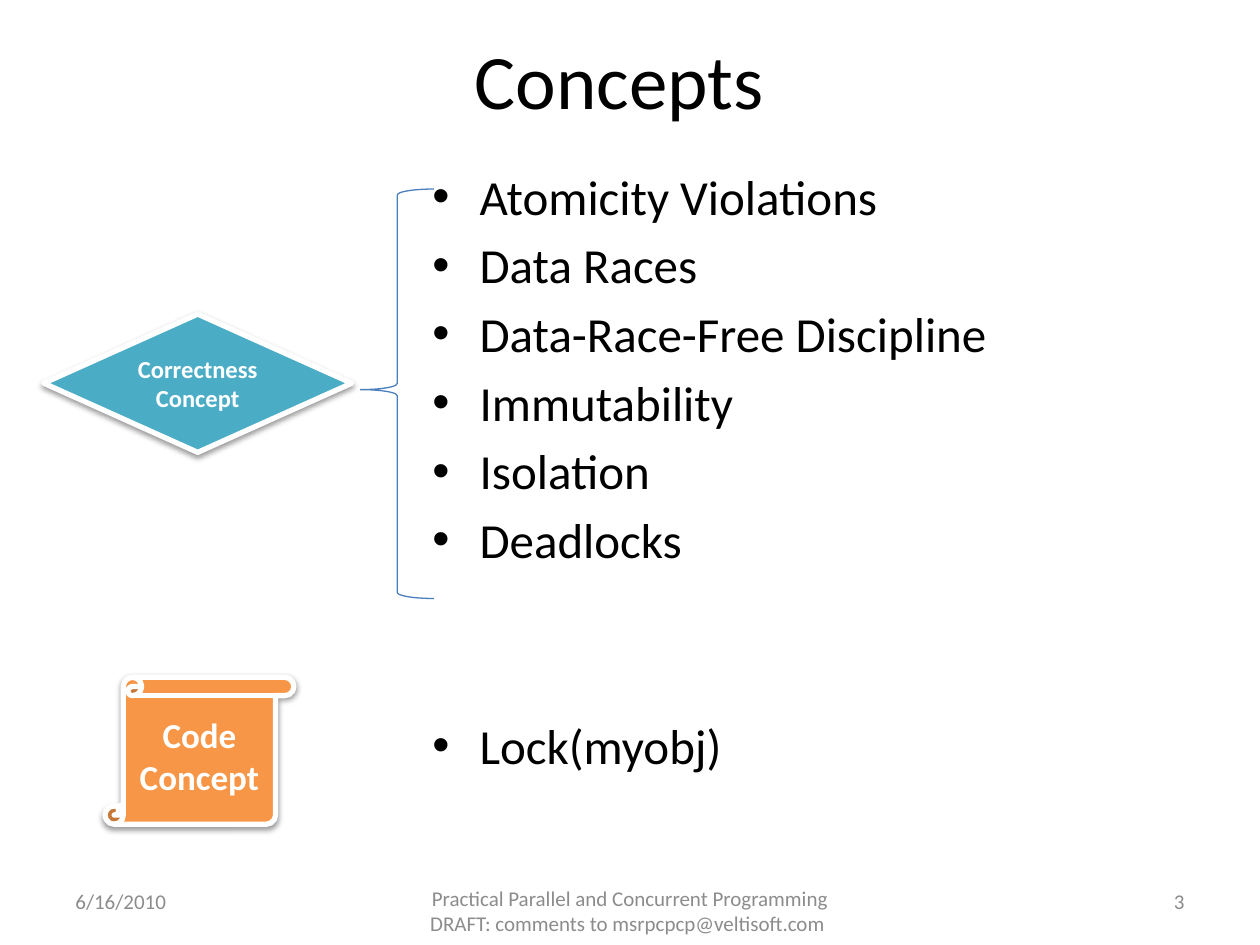
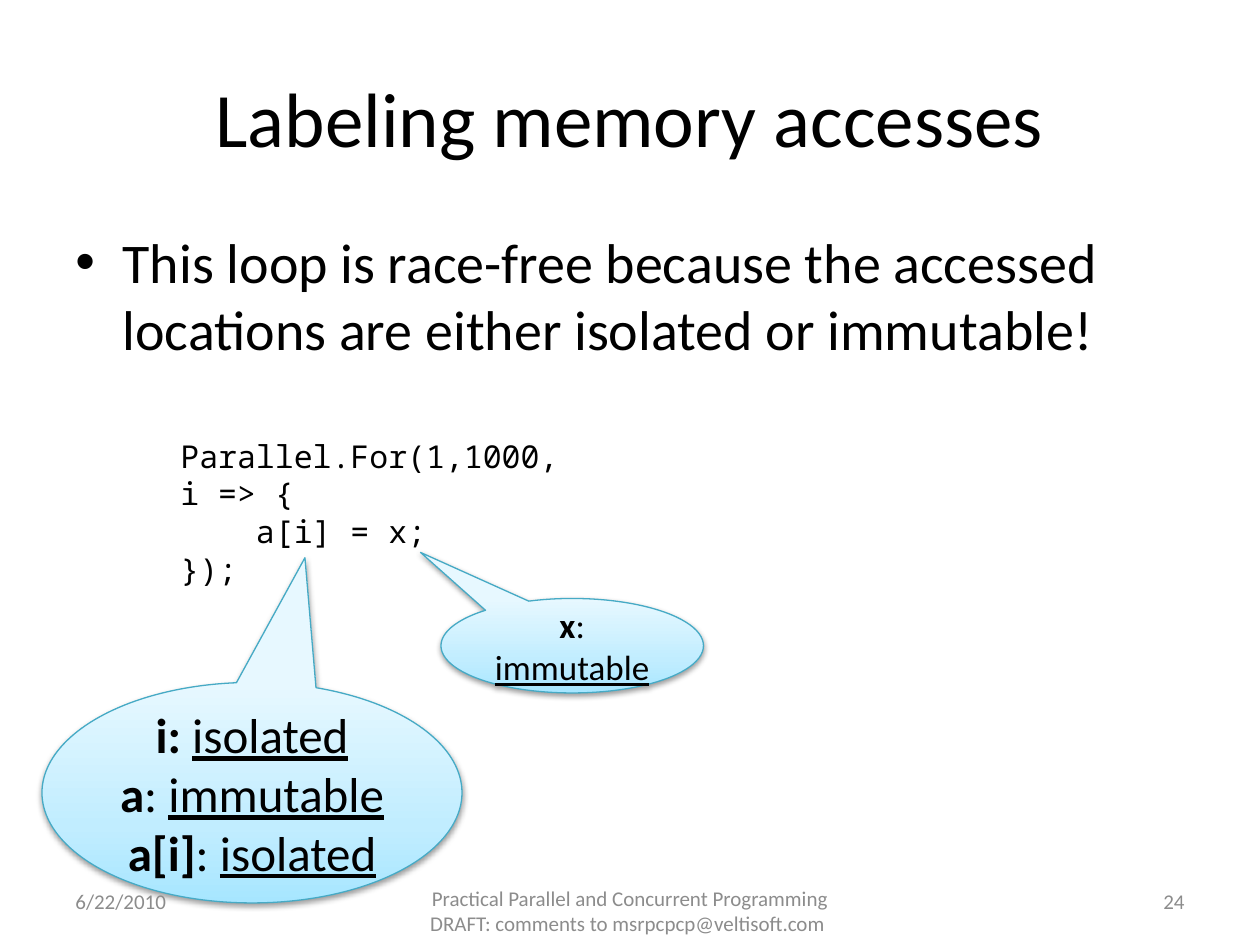
from lxml import etree
from pptx import Presentation
from pptx.dml.color import RGBColor
from pptx.enum.shapes import MSO_SHAPE as Preset
from pptx.enum.text import MSO_ANCHOR as Anchor, PP_ALIGN as Align
from pptx.oxml import parse_xml
from pptx.oxml.ns import nsdecls, qn
from pptx.util import Pt

COLORS = {
    "text": "000000", "footer": "8C8C8C", "white": "FFFFFF",
    "code": "F79646", "correctness": "4BACC6", "brace": "4B7EBC",
    "callout_line": "46AAC5", "callout_low": "A7E6FF",
    "callout_mid": "C1EDFF", "callout_high": "E7F8FF",
}
BODY_FONT, CODE_FONT = "Calibri", "Noto Sans Mono"
FOOTER = ("Practical Parallel and Concurrent Programming "
          "DRAFT: comments to msrpcpcp@veltisoft.com ")
BULLET_INDENT = 27
SHADOW_BLUR, SHADOW_DROP = 3.15, 1.6


def rgb(name):
    """Return the palette colour of this name."""
    return RGBColor.from_string(COLORS[name])


def add_run(paragraph, text, size, color="text", font=BODY_FONT, bold=False, underline=False):
    """Append one formatted run."""
    run = paragraph.add_run()
    run.text = text
    run.font.name, run.font.size = font, Pt(size)
    run.font.bold, run.font.underline = bold, underline
    run.font.color.rgb = rgb(color)


def paragraphs_for(frame, lines):
    """Yield a paragraph of the frame with each line."""
    for index, line in enumerate(lines):
        yield (frame.add_paragraph() if index else frame.paragraphs[0]), line


def add_text(slide, box, lines, size, color="text", font=BODY_FONT,
             align=Align.LEFT, anchor=Anchor.TOP):
    """Add a wrapping text box with one paragraph a line."""
    frame = slide.shapes.add_textbox(*map(Pt, box)).text_frame
    frame.word_wrap, frame.vertical_anchor = True, anchor
    for paragraph, line in paragraphs_for(frame, lines):
        paragraph.alignment = align
        add_run(paragraph, line, size, color, font)
    return frame


def add_bullets(slide, box, lines, size):
    """Add a bulleted list with hanging indents."""
    frame = add_text(slide, box, lines, size)
    for paragraph in frame.paragraphs:
        paragraph.space_before = Pt(size * 0.2)
        properties = paragraph._p.get_or_add_pPr()
        properties.set("marL", str(Pt(BULLET_INDENT)))
        properties.set("indent", str(-Pt(BULLET_INDENT)))
        etree.SubElement(properties, qn("a:buFont")).set("typeface", "Arial")
        etree.SubElement(properties, qn("a:buChar")).set("char", "•")
    return frame


def add_title(slide, box, text):
    """Add the centred slide title."""
    add_text(slide, box, [text], 44, align=Align.CENTER, anchor=Anchor.MIDDLE)


def add_footer(slide, box, date, number):
    """Add date, course name and slide number along the bottom."""
    left, top, width, height = box
    side, middle = 168, 252
    parts = [
        (left, side, height - 11, date, Align.LEFT),
        (left + (width - middle) / 2, middle, height, FOOTER, Align.CENTER),
        (left + width - side, side, height - 11, number, Align.RIGHT),
    ]
    for x, part_width, part_height, text, align in parts:
        add_text(slide, (x, top, part_width, part_height), [text], 12, "footer",
                 align=align, anchor=Anchor.MIDDLE)


def add_shadow(shape):
    """Give the shape a soft shadow straight below."""
    shape._element.spPr.append(parse_xml(
        f'<a:effectLst {nsdecls("a")}><a:outerShdw blurRad="{Pt(SHADOW_BLUR)}" '
        f'dist="{Pt(SHADOW_DROP)}" dir="5400000" rotWithShape="0"><a:srgbClr val="000000">'
        '<a:alpha val="38000"/></a:srgbClr></a:outerShdw></a:effectLst>'))


def add_shape(slide, preset, box, line, line_width, adjustments=()):
    """Add an outlined preset shape."""
    shape = slide.shapes.add_shape(preset, *map(Pt, box))
    shape.line.color.rgb, shape.line.width = rgb(line), Pt(line_width)
    for index, value in enumerate(adjustments):
        shape.adjustments[index] = value
    return shape


def add_concept(slide, box, preset, fill, size, lines):
    """Add a filled concept badge with bold white text."""
    shape = add_shape(slide, preset, box, "white", 3)
    shape.fill.solid()
    shape.fill.fore_color.rgb = rgb(fill)
    add_shadow(shape)
    shape.text_frame.vertical_anchor = Anchor.MIDDLE
    for paragraph, line in paragraphs_for(shape.text_frame, lines):
        paragraph.alignment = Align.CENTER
        add_run(paragraph, line, size, "white", bold=True)


def add_brace(slide, box):
    """Add the brace that groups the correctness concepts."""
    shape = add_shape(slide, Preset.LEFT_BRACE, box, "brace", 0.75, (0.083, 0.49))
    shape.fill.background()
    shape.shadow.inherit = False


def add_callout(slide, box, pointer, size, labels):
    """Add a gradient callout of bold names with underlined labels."""
    shape = add_shape(slide, Preset.OVAL_CALLOUT, box, "callout_line", 0.75, pointer)
    stops = "".join(
        f'<a:gs pos="{position * 1000}"><a:srgbClr val="{COLORS[name]}"/></a:gs>'
        for position, name in [(0, "callout_low"), (35, "callout_mid"), (100, "callout_high")])
    shape._element.spPr.find(qn("a:prstGeom")).addnext(parse_xml(
        f'<a:gradFill {nsdecls("a")} rotWithShape="1"><a:gsLst>{stops}</a:gsLst>'
        '<a:lin ang="16200000" scaled="0"/></a:gradFill>'))
    add_shadow(shape)
    shape.text_frame.vertical_anchor = Anchor.MIDDLE
    for paragraph, (name, separator, label) in paragraphs_for(shape.text_frame, labels):
        paragraph.alignment = Align.CENTER
        add_run(paragraph, name, size, bold=True)
        add_run(paragraph, separator, size)
        add_run(paragraph, label, size, underline=True)


def add_code(slide, box):
    """Add the parallel loop with its body indented by four characters."""
    lines = ["Parallel.For(1,1000,", "i => {", "a[i] = x;", "});"]
    frame = add_text(slide, box, lines, 18, font=CODE_FONT)
    frame.paragraphs[2]._p.get_or_add_pPr().set("marL", str(Pt(43.2)))


def build_concepts(slide, box):
    """Build the slide that lists the concepts."""
    left, top, width, height = box
    add_title(slide, (left + 30, top, 648, 90), "Concepts")
    frame = add_bullets(slide, (left + 240, top + 91.5, 432, 448), [
        "Atomicity Violations", "Data Races", "Data-Race-Free Discipline",
        "Immutability", "Isolation", "Deadlocks", "Lock(myobj)"], 28)
    frame.paragraphs[-1].space_before = Pt(83.8)
    add_footer(slide, (left + 36, top + 500.5, width - 72, 39.5), "6/16/2010", "3")
    add_concept(slide, (left + 60, top + 387, 108, 84), Preset.VERTICAL_SCROLL,
                "code", 20, ["Code", "Concept"])
    add_concept(slide, (left + 25, top + 179.5, 176, 79), Preset.FLOWCHART_DECISION,
                "correctness", 14, ["Correctness", "Concept"])
    add_brace(slide, (left + 206, top + 108, 42, 234))


def build_labeling(slide, box):
    """Build the slide that labels the accesses of a loop."""
    left, top, width, height = box
    add_title(slide, (left + 36, top + 21.6, 648, 90), "Labeling memory accesses")
    add_bullets(slide, (left + 36, top + 126.5, 648, 356), [
        "This loop is race-free because the accessed locations "
        "are either isolated or immutable!"], 32)
    add_code(slide, (left + 96, top + 246, 252, 94))
    add_callout(slide, (left + 252, top + 342, 150, 54), (-0.578, -0.988), 20,
                [("x", ": ", "immutable")])
    add_callout(slide, (left + 24, top + 390, 240, 126), (0.126, -1.066), 28,
                [("i:", " ", "isolated"), ("a", ": ", "immutable"), ("a[i]", ": ", "isolated")])
    add_footer(slide, (left + 36, top + 500.5, width - 72, 39.5), "6/22/2010", "24")


def main():
    """Build and save the presentation."""
    presentation = Presentation()
    width, height = 720, 540
    presentation.slide_width, presentation.slide_height = Pt(width), Pt(height)
    for build in (build_concepts, build_labeling):
        slide = presentation.slides.add_slide(presentation.slide_layouts[6])
        build(slide, (0, 0, width, height))
    presentation.save("out.pptx")


main()
